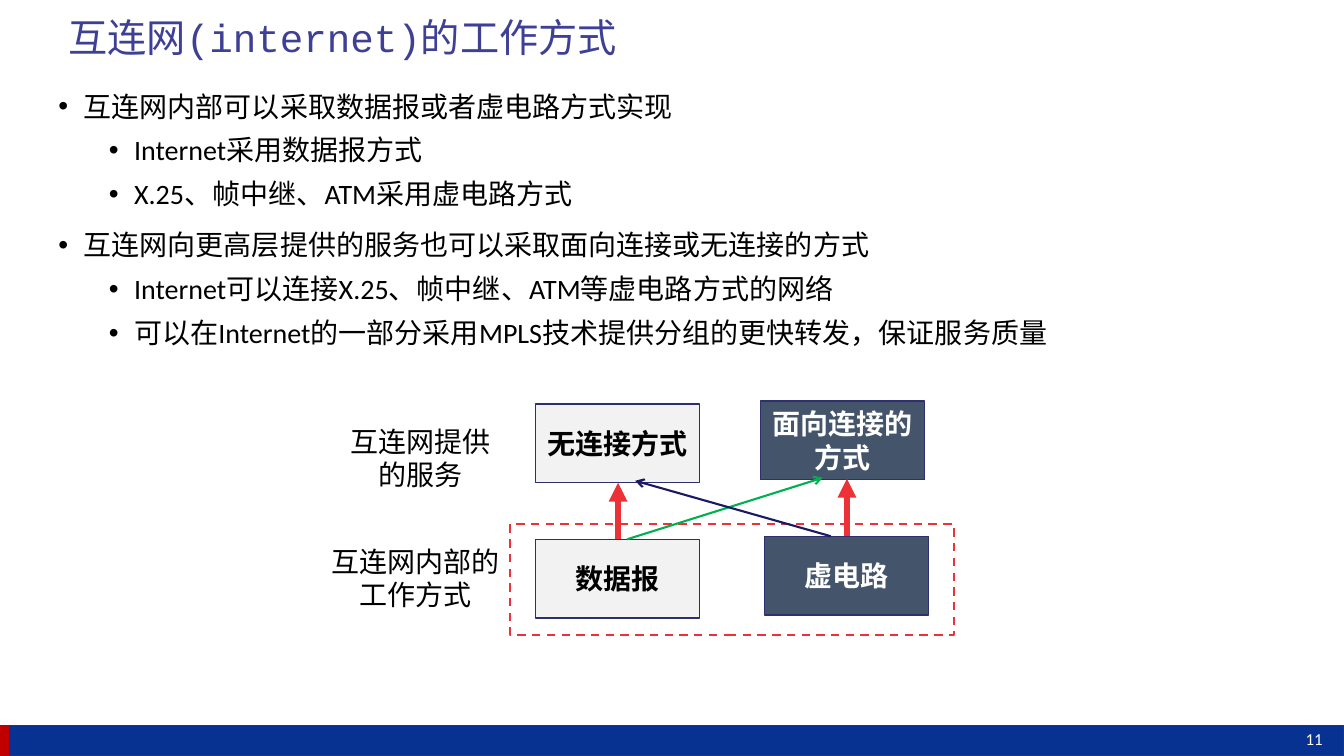
from dataclasses import dataclass
from lxml import etree
from pptx import Presentation
from pptx.dml.color import RGBColor
from pptx.enum.dml import MSO_LINE_DASH_STYLE as Dash
from pptx.enum.shapes import MSO_CONNECTOR as Connector, MSO_SHAPE as Preset
from pptx.enum.text import MSO_ANCHOR as Anchor, MSO_AUTO_SIZE as AutoSize, PP_ALIGN as Align
from pptx.oxml.ns import qn
from pptx.util import Inches, Pt

TITLE = "互连网(internet)的工作方式"
BULLETS = [
    (0, "互连网内部可以采取数据报或者虚电路方式实现"),
    (1, "Internet采用数据报方式"),
    (1, "X.25、帧中继、ATM采用虚电路方式"),
    (0, "互连网向更高层提供的服务也可以采取面向连接或无连接的方式"),
    (1, "Internet可以连接X.25、帧中继、ATM等虚电路方式的网络"),
    (1, "可以在Internet的一部分采用MPLS技术提供分组的更快转发，保证服务质量"),
]
PAGE_NUMBER = "11"


@dataclass(frozen=True)
class Theme:
    heading_font: str = "Courier New"
    font: str = "Calibri"
    title_size: int = 28
    body_size: int = 20
    number_size: int = 12
    title: str = "3E4095"
    black: str = "000000"
    white: str = "FFFFFF"
    light: str = "F2F2F2"
    dark: str = "44546A"
    outline: str = "2E2F6E"
    footer: str = "073291"
    accent: str = "C00000"
    red: str = "ED3237"
    green: str = "00B050"
    navy: str = "191966"


theme = Theme()
BOX_SIZE = (1.63, 0.78)
BOXES = [
    ("数据报", 5.31, 5.35, theme.light, theme.black),
    ("虚电路", 7.58, 5.32, theme.dark, theme.white),
    ("无连接方式", 5.31, 4.01, theme.light, theme.black),
    ("面向连接的方式", 7.54, 3.98, theme.dark, theme.white),
]
LABELS = [
    ("互连网内部的工作方式", (3.12, 5.34, 2.01, 0.78)),
    ("互连网提供的服务", (3.28, 4.15, 1.78, 0.78)),
]
ARROWS = [
    ((6.13, 5.35), (6.13, 4.79), theme.red, 4.5, "triangle"),
    ((8.4, 5.32), (8.4, 4.75), theme.red, 4.5, "triangle"),
    ((6.22, 5.35), (8.16, 4.74), theme.green, 1.5, "arrow"),
    ((8.24, 5.32), (6.3, 4.77), theme.navy, 1.5, "arrow"),
]


def color(value):
    return RGBColor.from_string(value)


def write(paragraph, text, size=theme.body_size, font=theme.font, fill=theme.black,
          bold=False, align=Align.LEFT, spacing=None, before=0):
    paragraph.text = text
    paragraph.alignment = align
    paragraph.line_spacing = spacing
    paragraph.space_before = Pt(before)
    paragraph.font.size = Pt(size)
    paragraph.font.name = font
    paragraph.font.bold = bold
    paragraph.font.color.rgb = color(fill)


def place(shape, left, top, width, height):
    shape.left, shape.top = Inches(left), Inches(top)
    shape.width, shape.height = Inches(width), Inches(height)


def set_bullet(paragraph, level):
    paragraph.level = level
    properties = paragraph._p.get_or_add_pPr()
    properties.set("marL", str(Inches(0.25 + 0.5 * level)))
    properties.set("indent", str(Inches(-0.25)))
    etree.SubElement(properties, qn("a:buFont")).set("typeface", "Arial")
    etree.SubElement(properties, qn("a:buChar")).set("char", "•")


def add_rectangle(slide, frame, fill=None, line=None, weight=1):
    shape = slide.shapes.add_shape(Preset.RECTANGLE, *map(Inches, frame))
    shape.shadow.inherit = False
    if fill:
        shape.fill.solid()
        shape.fill.fore_color.rgb = color(fill)
    else:
        shape.fill.background()
    if line:
        shape.line.color.rgb = color(line)
        shape.line.width = Pt(weight)
    else:
        shape.line.fill.background()
    return shape


def add_label(slide, frame, text, anchor=Anchor.MIDDLE, **text_format):
    text_frame = slide.shapes.add_textbox(*map(Inches, frame)).text_frame
    text_frame.word_wrap = True
    text_frame.vertical_anchor = anchor
    write(text_frame.paragraphs[0], text, **text_format)


def add_arrow(slide, start, end, line, weight, head):
    arrow = slide.shapes.add_connector(Connector.STRAIGHT, *map(Inches, start + end))
    arrow.line.color.rgb = color(line)
    arrow.line.width = Pt(weight)
    etree.SubElement(arrow.line._get_or_add_ln(), qn("a:tailEnd")).set("type", head)
    etree.SubElement(arrow._element.spPr, qn("a:effectLst"))


def add_footer(slide):
    add_rectangle(slide, (0, 7.2, 13.33, 0.3), theme.footer, theme.outline)
    add_rectangle(slide, (0, 7.2, 0.09, 0.3), theme.accent)
    add_label(slide, (12.85, 7.18, 0.48, 0.3), PAGE_NUMBER, Anchor.TOP,
              size=theme.number_size, fill=theme.white)


def fill_placeholders(slide):
    title, body = slide.shapes.title, slide.placeholders[1]
    place(title, 0.58, 0.04, 12.25, 0.7)
    title.text_frame.auto_size = AutoSize.NONE
    title.text_frame.vertical_anchor = Anchor.MIDDLE
    write(title.text_frame.paragraphs[0], TITLE, size=theme.title_size,
          font=theme.heading_font, fill=theme.title, spacing=0.9)
    place(body, 0.48, 0.8, 12.35, 6.14)
    body.text_frame.auto_size = AutoSize.NONE
    for index, (level, text) in enumerate(BULLETS):
        paragraph = body.text_frame.add_paragraph() if index else body.text_frame.paragraphs[0]
        set_bullet(paragraph, level)
        before = (10, 5)[level] if index else 0
        write(paragraph, text, spacing=1.1, before=before)


def add_diagram(slide):
    for text, left, top, fill, text_fill in BOXES:
        box = add_rectangle(slide, (left, top, *BOX_SIZE), fill, theme.outline)
        box.text_frame.word_wrap = True
        box.text_frame.vertical_anchor = Anchor.MIDDLE
        write(box.text_frame.paragraphs[0], text, fill=text_fill, bold=True, align=Align.CENTER)
    border = add_rectangle(slide, (5.06, 5.2, 4.4, 1.1), line=theme.red, weight=1.5)
    border.line.dash_style = Dash.DASH
    for text, frame in LABELS:
        add_label(slide, frame, text, align=Align.CENTER)
    for arrow in ARROWS:
        add_arrow(slide, *arrow)


def main():
    presentation = Presentation()
    presentation.slide_width, presentation.slide_height = Inches(13.33), Inches(7.5)
    slide = presentation.slides.add_slide(presentation.slide_layouts[1])
    fill_placeholders(slide)
    add_footer(slide)
    add_diagram(slide)
    presentation.save("out.pptx")


if __name__ == "__main__":
    main()
